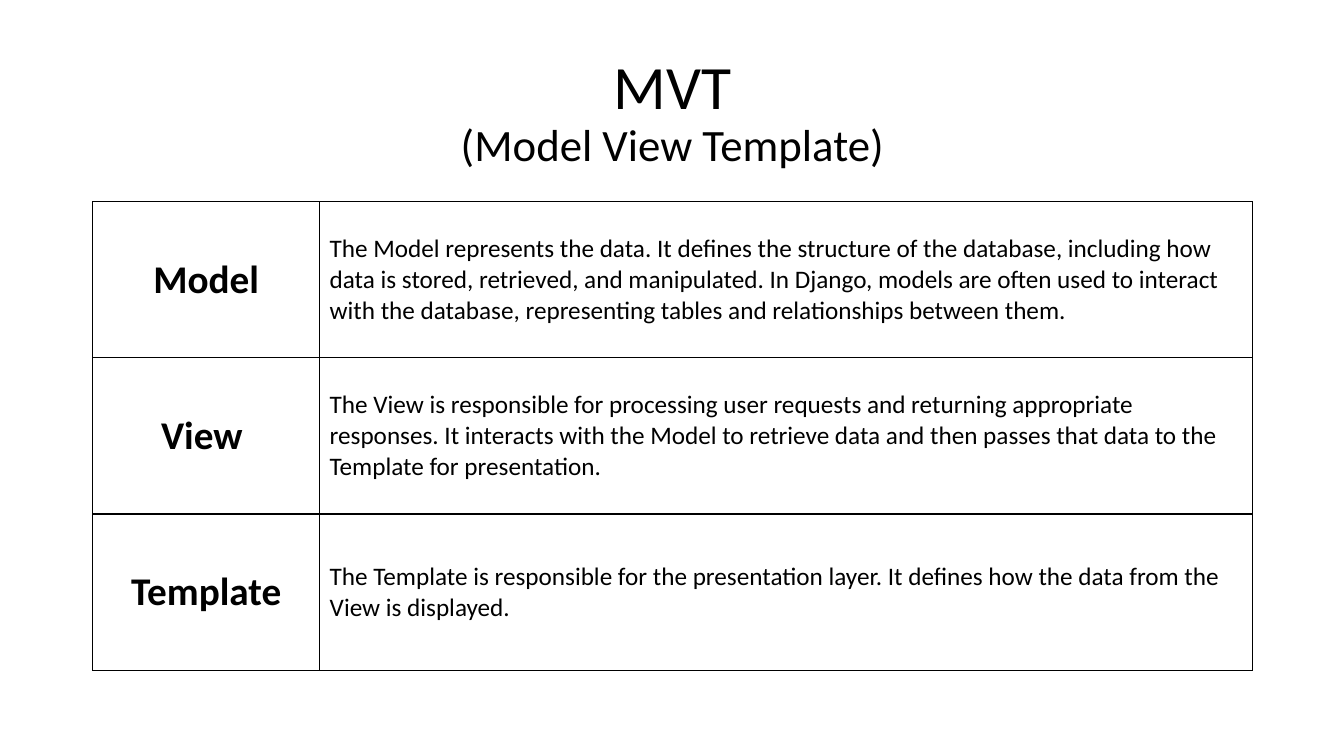
"""Build a slide that explains the Model View Template pattern in a table."""
from dataclasses import dataclass

from lxml.etree import SubElement
from pptx import Presentation
from pptx.dml.color import RGBColor
from pptx.enum.text import MSO_ANCHOR as Anchor, PP_ALIGN as Align
from pptx.oxml.ns import qn
from pptx.slide import Slide
from pptx.table import _Cell as Cell
from pptx.text.text import _Run as Run
from pptx.util import Emu, Inches, Pt

BLACK = RGBColor(0x00, 0x00, 0x00)
WHITE = RGBColor(0xFF, 0xFF, 0xFF)
FONT = "Calibri"
SLIDE_WIDTH, SLIDE_HEIGHT = Inches(13.33), Inches(7.5)
MARGIN = Inches(0.92)
CONTENT_WIDTH = Inches(11.5)
TITLE_TOP, TITLE_HEIGHT = Inches(0.4), Inches(1.45)
TABLE_TOP, ROW_HEIGHT = Inches(2), Inches(1.55)
NAME_WIDTH = Inches(2.25)
BORDER_WIDTH = Pt(1)


@dataclass(frozen=True)
class Component:
    """One part of the pattern and what it does."""

    name: str
    role: str


COMPONENTS = (
    Component(
        "Model",
        "The Model represents the data. It defines the structure of the database, "
        "including how data is stored, retrieved, and manipulated. In Django, models "
        "are often used to interact with the database, representing tables and "
        "relationships between them.",
    ),
    Component(
        "View ",
        "The View is responsible for processing user requests and returning "
        "appropriate responses. It interacts with the Model to retrieve data and "
        "then passes that data to the Template for presentation.",
    ),
    Component(
        "Template",
        "The Template is responsible for the presentation layer. It defines how the "
        "data from the View is displayed.",
    ),
)


def style_run(run: Run, size: int, bold: bool = False) -> None:
    """Give a run the slide's font and colour."""
    run.font.name = FONT
    run.font.size = Pt(size)
    run.font.bold = bold
    run.font.color.rgb = BLACK


def add_title(slide: Slide) -> None:
    """Add the acronym with its expansion below."""
    title = slide.shapes.add_textbox(MARGIN, TITLE_TOP, CONTENT_WIDTH, TITLE_HEIGHT)
    frame = title.text_frame
    frame.word_wrap = True
    frame.vertical_anchor = Anchor.MIDDLE
    heading = frame.paragraphs[0]
    heading.text = "MVT\v(Model View Template)"
    heading.alignment = Align.CENTER
    heading.line_spacing = 0.9
    for run, size in zip(heading.runs, (44, 32)):
        style_run(run, size)


def add_borders(cell: Cell) -> None:
    """Draw a thin black line on every side of a cell."""
    properties = cell._tc.get_or_add_tcPr()
    for position, side in enumerate(("lnL", "lnR", "lnT", "lnB")):
        border = SubElement(properties, qn(f"a:{side}"), w=str(BORDER_WIDTH))
        fill = SubElement(border, qn("a:solidFill"))
        SubElement(fill, qn("a:srgbClr"), val=str(BLACK))
        properties.insert(position, border)


def fill_cell(cell: Cell, text: str, size: int, align: Align, bold: bool) -> None:
    """Write and format one table cell."""
    cell.fill.solid()
    cell.fill.fore_color.rgb = WHITE
    cell.vertical_anchor = Anchor.MIDDLE
    add_borders(cell)
    paragraph = cell.text_frame.paragraphs[0]
    paragraph.text = text
    paragraph.alignment = align
    style_run(paragraph.runs[0], size, bold)


def add_component_table(slide: Slide) -> None:
    """Add one row per component: its name and its role."""
    count = len(COMPONENTS)
    table = slide.shapes.add_table(
        count, 2, MARGIN, TABLE_TOP, CONTENT_WIDTH, Emu(ROW_HEIGHT * count)
    ).table
    table.first_row = table.horz_banding = False
    table.columns[0].width = NAME_WIDTH
    table.columns[1].width = Emu(CONTENT_WIDTH - NAME_WIDTH)
    for index, component in enumerate(COMPONENTS):
        table.rows[index].height = ROW_HEIGHT
        fill_cell(table.cell(index, 0), component.name, 28, Align.CENTER, True)
        fill_cell(table.cell(index, 1), component.role, 18, Align.LEFT, False)


def main() -> None:
    """Create and save the presentation."""
    deck = Presentation()
    deck.slide_width, deck.slide_height = SLIDE_WIDTH, SLIDE_HEIGHT
    slide = deck.slides.add_slide(deck.slide_layouts[6])
    add_title(slide)
    add_component_table(slide)
    deck.save("out.pptx")


if __name__ == "__main__":
    main()
